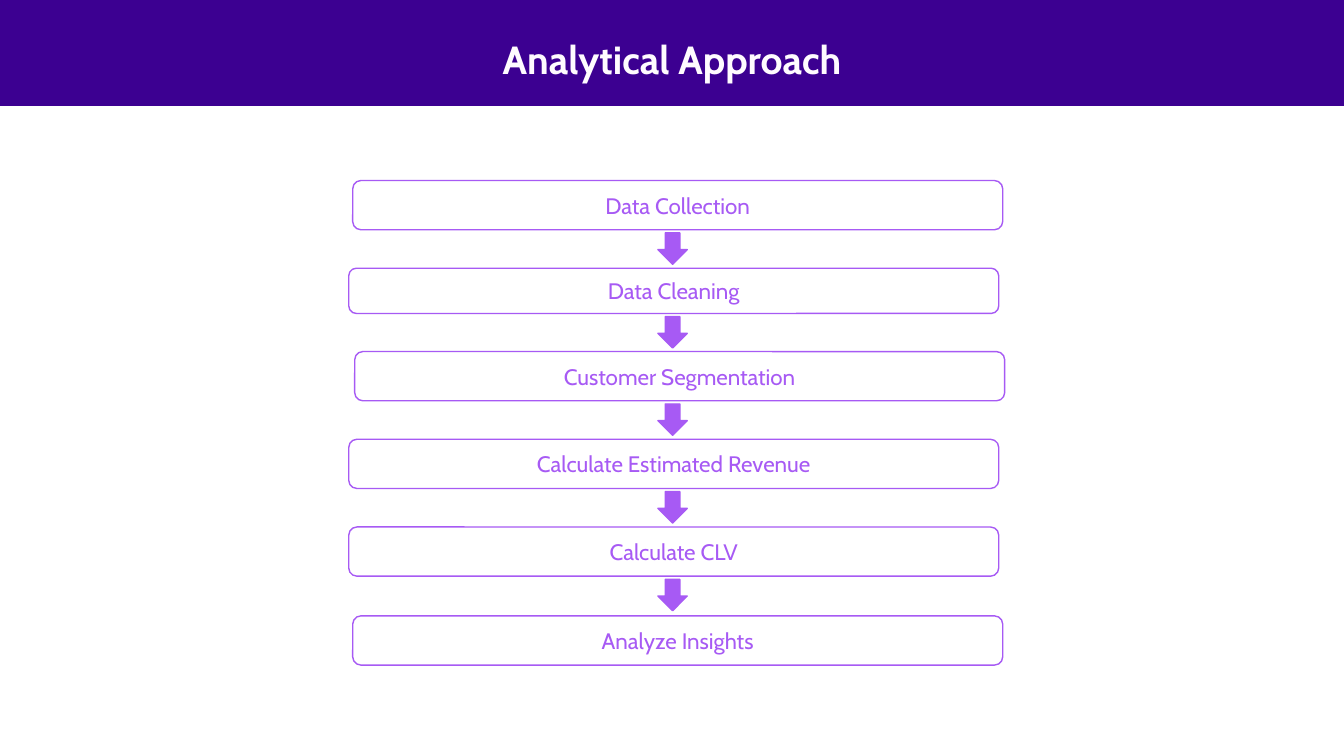
from dataclasses import dataclass

from pptx import Presentation
from pptx.dml.color import RGBColor
from pptx.enum import shapes, text
from pptx.util import Cm, Pt


@dataclass(frozen=True)
class Theme:
    font: str = "Cabin"
    banner: RGBColor = RGBColor(0x3C, 0x00, 0x91)
    title: RGBColor = RGBColor(0xFF, 0xFB, 0xFF)
    accent: RGBColor = RGBColor(0xA7, 0x5A, 0xF4)
    card: RGBColor = RGBColor(0xFF, 0xFF, 0xFF)
    title_size: Pt = Pt(28)
    step_size: Pt = Pt(16)
    line_width: Pt = Pt(1)


THEME = Theme()

# Label, offset from the flow's left and top, and height, in centimetres
STEPS = [
    ("Data Collection", 0.1, 0, 1.24),
    ("Data Cleaning", 0, 2.21, 1.14),
    ("Customer Segmentation", 0.15, 4.31, 1.24),
    ("Calculate Estimated Revenue", 0, 6.52, 1.24),
    ("Calculate CLV", 0, 8.73, 1.24),
    ("Analyze Insights", 0.1, 10.97, 1.24),
]


def add_block(s, kind, box, fill, line=None):
    sp = s.shapes.add_shape(kind, *box)
    sp.shadow.inherit = False
    sp.fill.solid()
    sp.fill.fore_color.rgb = fill
    if line is None:
        sp.line.fill.background()
    else:
        sp.line.color.rgb = line
        sp.line.width = THEME.line_width
    return sp


def write_centred(sp, words, size, color, bold=False):
    tf = sp.text_frame
    tf.word_wrap = True
    p = tf.paragraphs[0]
    p.text = words
    p.alignment = text.PP_ALIGN.CENTER
    p.font.name = THEME.font
    p.font.size = size
    p.font.bold = bold
    p.font.color.rgb = color
    return tf


def add_banner(s, left, top, width, height):
    # Band across the top
    add_block(s, shapes.MSO_SHAPE.RECTANGLE, (left, top, width, height), THEME.banner)

    # Title
    margin = Cm(4.04)
    sp = s.shapes.add_textbox(left + margin, top + Cm(0.76), width - 2 * margin, Cm(1.45))
    write_centred(sp, "Analytical Approach", THEME.title_size, THEME.title, bold=True)


def add_flow(s, left, top, width):
    arrow_left, arrow_gap = left + Cm(7.79), Cm(0.08)
    arrow_width, arrow_height = Cm(0.74), Cm(0.79)
    for i, (label, dx, dy, height) in enumerate(STEPS):
        # Step card
        y, h = top + Cm(dy), Cm(height)
        sp = add_block(s, shapes.MSO_SHAPE.ROUNDED_RECTANGLE,
                       (left + Cm(dx), y, width, h), THEME.card, THEME.accent)
        tf = write_centred(sp, label, THEME.step_size, THEME.accent)
        tf.vertical_anchor = text.MSO_ANCHOR.MIDDLE

        # Arrow to the next step
        if i < len(STEPS) - 1:
            add_block(s, shapes.MSO_SHAPE.DOWN_ARROW,
                      (arrow_left, y + h + arrow_gap, arrow_width, arrow_height),
                      THEME.accent, THEME.accent)


def main():
    prs = Presentation()
    prs.slide_width, prs.slide_height = Cm(33.87), Cm(19.05)
    s = prs.slides.add_slide(prs.slide_layouts[6])
    add_banner(s, 0, 0, prs.slide_width, Cm(2.67))
    add_flow(s, Cm(8.79), Cm(4.55), Cm(16.38))
    prs.save("out.pptx")


if __name__ == "__main__":
    main()
